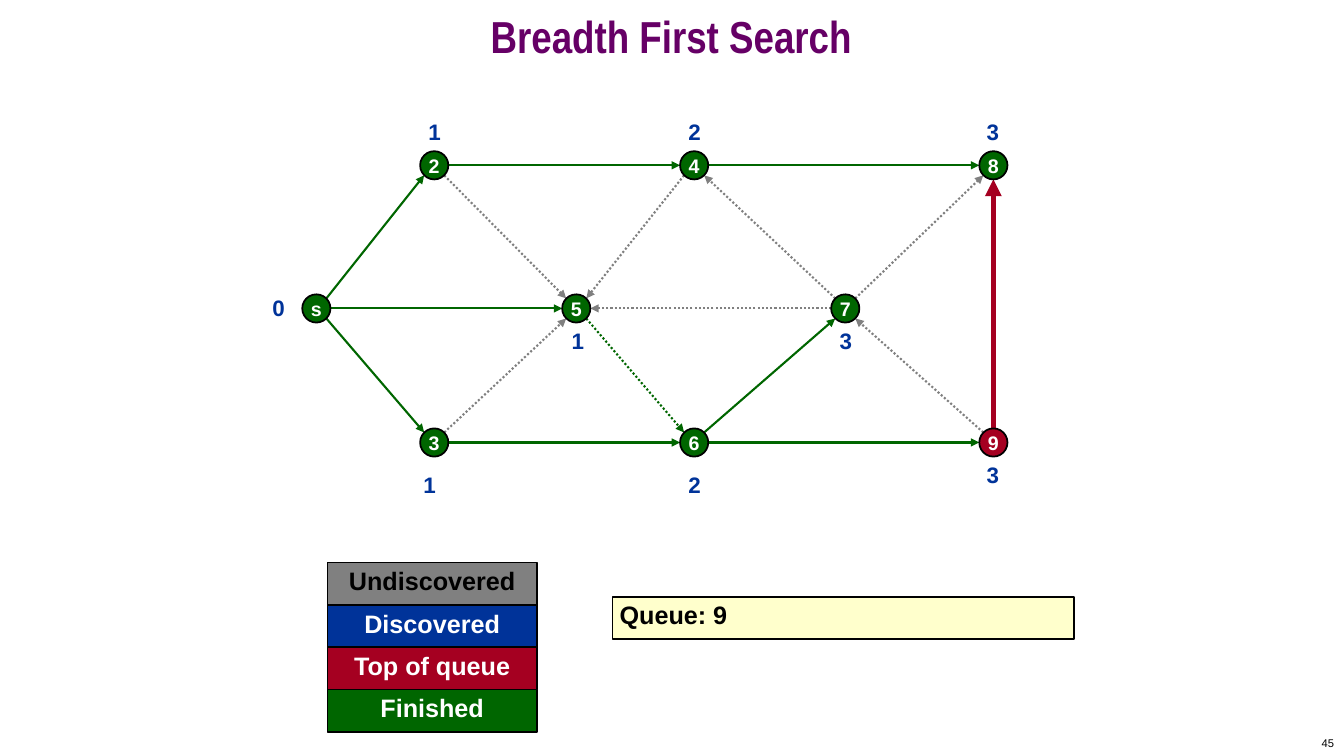
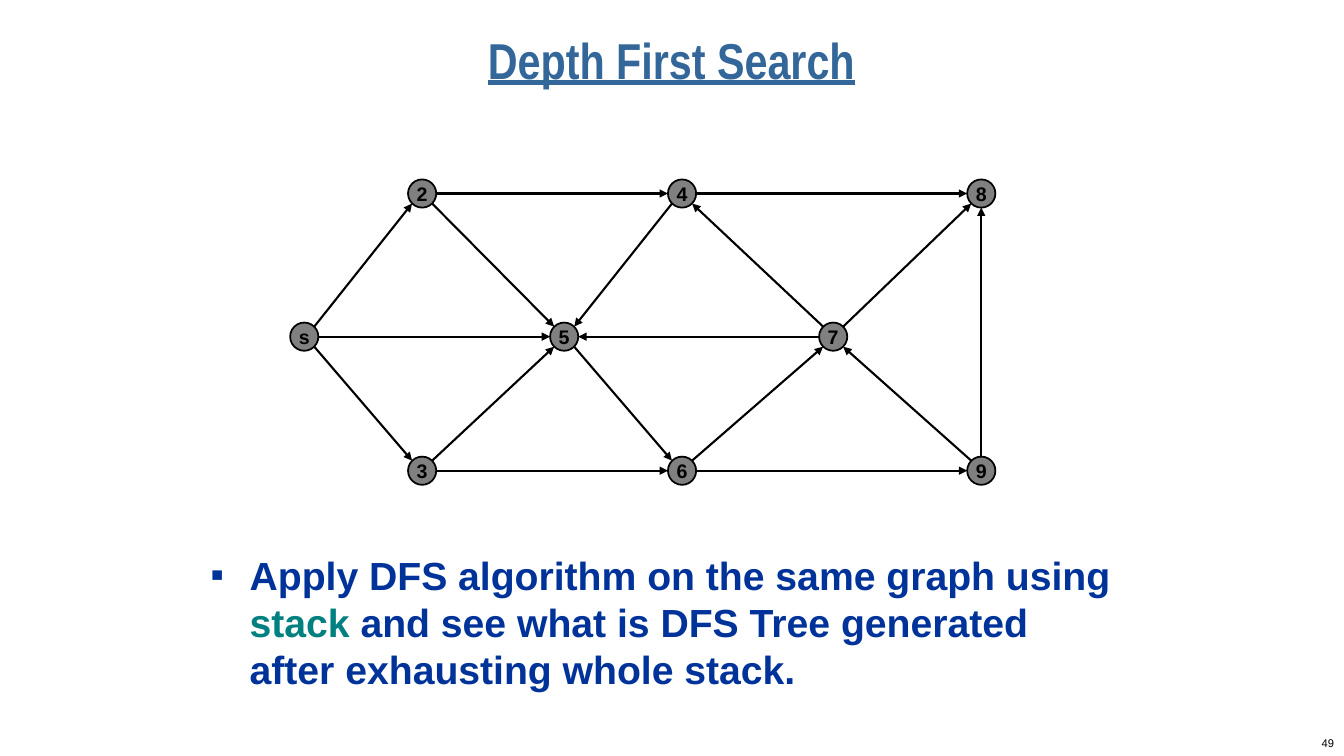
from dataclasses import dataclass

from lxml import etree
from pptx import Presentation
from pptx.dml.color import RGBColor
from pptx.enum.dml import MSO_LINE
from pptx.enum.shapes import MSO_CONNECTOR, MSO_SHAPE
from pptx.enum.text import MSO_ANCHOR, PP_ALIGN
from pptx.oxml.ns import qn
from pptx.util import Inches, Pt

STRAIGHT = MSO_CONNECTOR.STRAIGHT
OVAL, RECTANGLE = MSO_SHAPE.OVAL, MSO_SHAPE.RECTANGLE
TOP, MIDDLE = MSO_ANCHOR.TOP, MSO_ANCHOR.MIDDLE
LEFT, CENTER, RIGHT = PP_ALIGN.LEFT, PP_ALIGN.CENTER, PP_ALIGN.RIGHT
DOTTED = MSO_LINE.ROUND_DOT


@dataclass(frozen=True)
class Theme:
    black: str = "000000"
    white: str = "FFFFFF"
    gray: str = "808080"
    blue: str = "003399"
    red: str = "A50021"
    green: str = "006600"
    teal: str = "008080"
    cream: str = "FFFFCC"
    purple: str = "660066"
    steel: str = "336699"
    font: str = "Arial"
    title_font: str = "Arial Narrow"
    number_size: int = 8
    node_size: int = 14
    label_size: int = 16
    legend_size: int = 18
    body_size: int = 28
    outline: float = 1.25
    edge: float = 1.5
    thick_edge: float = 4


THEME = Theme()
DEFAULT_INSETS = (0.1, 0.05, 0.1, 0.05)
LEGEND_INSETS = (0, 0.03, 0, 0)

RADIUS = 0.14
DIAGONAL = 0.1
NODES = {
    "s": (3.14, 3.06), "2": (4.31, 1.64), "5": (5.72, 3.06),
    "4": (6.89, 1.64), "7": (8.39, 3.06), "8": (9.86, 1.64),
    "3": (4.31, 4.39), "6": (6.89, 4.39), "9": (9.86, 4.39),
}
EDGES = ["s2", "s5", "s3", "24", "25", "35", "36", "45", "48",
         "56", "67", "69", "74", "75", "78", "97", "98"]
TREE_EDGES = {"s2", "s5", "s3", "24", "48", "36", "69", "67", "56"}
DOTTED_EDGES = {"25", "35", "45", "56", "74", "75", "78", "97"}
LEVELS = [
    ("0", 2.58, 2.92), ("1", 4.13, 1.17), ("1", 4.08, 4.67),
    ("1", 5.55, 3.25), ("2", 6.71, 1.17), ("2", 6.71, 4.67),
    ("3", 9.67, 1.17), ("3", 8.21, 3.25), ("3", 9.67, 4.58),
]
LEGEND = [
    ("Undiscovered", THEME.gray, THEME.black),
    ("Discovered", THEME.blue, THEME.white),
    ("Top of queue", THEME.red, THEME.white),
    ("Finished", THEME.green, THEME.white),
]


def rgb(value):
    return RGBColor.from_string(value)


def style_span(span, size, color, bold=True, font=THEME.font):
    span.font.name = font
    span.font.size = Pt(size)
    span.font.bold = bold
    span.font.color.rgb = rgb(color)


def set_frame(box, anchor, insets, wrap=True):
    frame = box.text_frame
    frame.word_wrap = wrap
    frame.vertical_anchor = anchor
    (frame.margin_left, frame.margin_top,
     frame.margin_right, frame.margin_bottom) = map(Inches, insets)
    return frame


def write(box, text, size, color, align=CENTER, anchor=TOP,
          insets=DEFAULT_INSETS, wrap=True, bold=True, font=THEME.font):
    frame = set_frame(box, anchor, insets, wrap)
    frame.text = text
    para = frame.paragraphs[0]
    para.alignment = align
    style_span(para.runs[0], size, color, bold, font)
    return para


def add_box(page, area):
    return page.shapes.add_textbox(*map(Inches, area))


def add_filled(page, kind, area, fill):
    shape = page.shapes.add_shape(kind, *map(Inches, area))
    shape.shadow.inherit = False
    shape.fill.solid()
    shape.fill.fore_color.rgb = rgb(fill)
    shape.line.color.rgb = rgb(THEME.black)
    shape.line.width = Pt(THEME.outline)
    return shape


def add_page(deck, number):
    page = deck.slides.add_slide(deck.slide_layouts[6])
    box = add_box(page, (10.56, 7.25, 2.78, 0.25))
    write(box, number, THEME.number_size, THEME.black, RIGHT, MIDDLE, bold=False)
    return page


def add_title(page, text, area, size, color, underline=False):
    para = write(add_box(page, area), text, size, color, anchor=MIDDLE,
                 font=THEME.title_font)
    para.line_spacing = 0.7
    para.runs[0].font.underline = underline


def add_node(page, name, center, fill, color):
    x, y = center
    area = (x - RADIUS, y - RADIUS, 2 * RADIUS, 2 * RADIUS)
    write(add_filled(page, OVAL, area, fill), name, THEME.node_size, color,
          anchor=MIDDLE, wrap=False)


def add_edge(page, start, end, color, width=THEME.edge, dotted=False):
    signs = [(b > a) - (b < a) for a, b in zip(start, end)]
    reach = DIAGONAL if all(signs) else RADIUS
    begin = [a + reach * sign for a, sign in zip(start, signs)]
    finish = [b - reach * sign for b, sign in zip(end, signs)]
    edge = page.shapes.add_connector(STRAIGHT, *map(Inches, begin + finish))
    edge.line.color.rgb = rgb(color)
    edge.line.width = Pt(width)
    if dotted:
        edge.line.dash_style = DOTTED
    properties = edge._element.spPr
    etree.SubElement(properties.find(qn("a:ln")), qn("a:tailEnd"), type="triangle")
    etree.SubElement(properties, qn("a:effectLst"))


def add_graph(page, node_style, edge_style, shift=(0, 0)):
    centers = {name: (x + shift[0], y + shift[1])
               for name, (x, y) in NODES.items()}
    for edge in EDGES:
        start, end = edge
        add_edge(page, centers[start], centers[end], **edge_style(edge))
    for name, center in centers.items():
        add_node(page, name, center, *node_style(name))


def search_node(name):
    return (THEME.red if name == "9" else THEME.green), THEME.white


def search_edge(edge):
    if edge == "98":
        return {"color": THEME.red, "width": THEME.thick_edge}
    color = THEME.green if edge in TREE_EDGES else THEME.gray
    return {"color": color, "dotted": edge in DOTTED_EDGES}


def plain_node(name):
    return THEME.gray, THEME.black


def plain_edge(edge):
    return {"color": THEME.black}


def add_levels(page):
    for text, left, top in LEVELS:
        write(add_box(page, (left, top, 0.37, 0.27)), text, THEME.label_size,
              THEME.blue, insets=(0, 0, 0, 0))


def add_legend(page):
    height = 0.42
    for row, (text, fill, color) in enumerate(LEGEND):
        box = add_filled(page, RECTANGLE,
                         (3.25, 5.58 + row * height, 2.08, height), fill)
        write(box, text, THEME.legend_size, color, insets=LEGEND_INSETS)


def add_queue(page, text):
    box = add_filled(page, RECTANGLE, (6.08, 5.92, 4.58, 0.42), THEME.cream)
    write(box, text, THEME.legend_size, THEME.black, LEFT,
          insets=(0.07, 0.03, 0, 0))


def add_bullet(para, color):
    properties = para._p.get_or_add_pPr()
    properties.set("marL", str(Inches(0.38)))
    properties.set("indent", str(Inches(-0.38)))
    bullet_color = etree.SubElement(properties, qn("a:buClr"))
    etree.SubElement(bullet_color, qn("a:srgbClr"), val=color)
    etree.SubElement(properties, qn("a:buSzPct"), val="50000")
    etree.SubElement(properties, qn("a:buFont"), typeface=THEME.font)
    etree.SubElement(properties, qn("a:buChar"), char="■")


def add_task(page, area, parts):
    para = set_frame(add_box(page, area), TOP, DEFAULT_INSETS).paragraphs[0]
    add_bullet(para, THEME.blue)
    for text, color in parts:
        span = para.add_run()
        span.text = text
        style_span(span, THEME.body_size, color)


def build_breadth_page(deck):
    page = add_page(deck, "45")
    add_title(page, "Breadth First Search", (0, 0, 13.33, 0.83), 32, THEME.purple)
    add_graph(page, search_node, search_edge)
    add_levels(page)
    add_legend(page)
    add_queue(page, "Queue: 9")


def build_depth_page(deck):
    page = add_page(deck, "49")
    add_title(page, "Depth First Search", (2.25, 0.25, 8.83, 0.83), 36,
              THEME.steel, underline=True)
    add_graph(page, plain_node, plain_edge, shift=(-0.12, 0.28))
    add_task(page, (2, 5.42, 9.17, 1.67), [
        ("Apply DFS algorithm on the same graph using ", THEME.blue),
        ("stack", THEME.teal),
        (" and see what is DFS Tree generated after exhausting whole stack.",
         THEME.blue),
    ])


def main():
    deck = Presentation()
    deck.slide_width = Inches(13.34)
    deck.slide_height = Inches(7.5)
    build_breadth_page(deck)
    build_depth_page(deck)
    deck.save("out.pptx")


if __name__ == "__main__":
    main()
